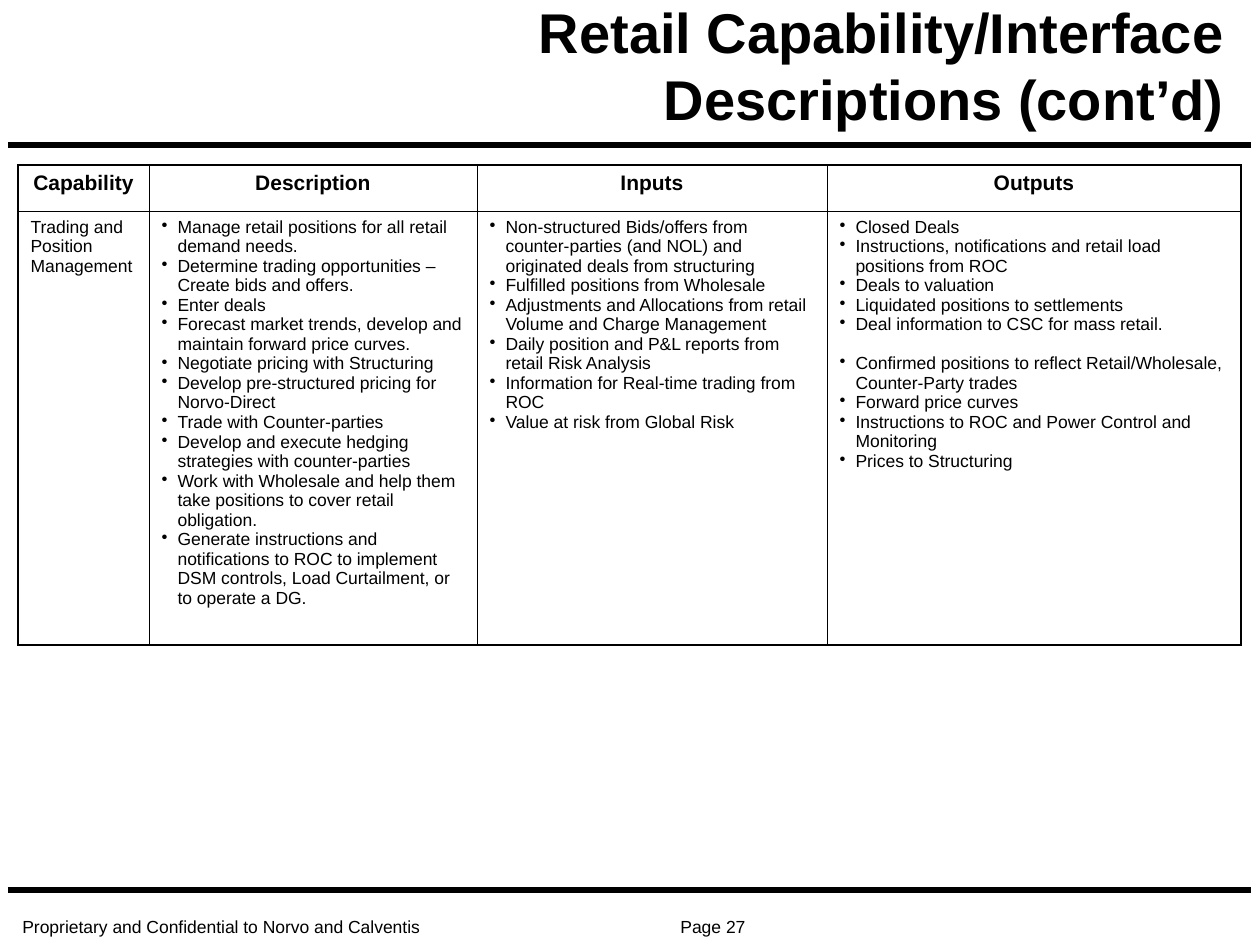
from lxml import etree
from pptx import Presentation
from pptx import util as u
from pptx.dml.color import RGBColor
from pptx.enum import shapes, text
from pptx.oxml import ns

PX = 914400 / 126
BLACK, WHITE = "000000", "FFFFFF"
OUTER, INNER = 1.08, 0.45
HEADERS = ["Capability", "Description", "Inputs", "Outputs"]
COL_WIDTHS = [131, 328, 350, 414]
ROW_HEIGHTS = [46, 434]
CAPABILITY = "Trading and Position Management"
DESCRIPTION = [
    "Manage retail positions for all retail demand needs.",
    "Determine trading opportunities – Create bids and offers.",
    "Enter deals",
    "Forecast market trends, develop and maintain forward price curves.",
    "Negotiate pricing with Structuring",
    "Develop pre-structured pricing for Norvo-Direct",
    "Trade with Counter-parties",
    "Develop and execute hedging strategies with counter-parties",
    "Work with Wholesale and help them take positions to cover retail obligation.",
    "Generate instructions and notifications to ROC to implement DSM controls, "
    "Load Curtailment, or to operate a DG.",
]
INPUTS = [
    "Non-structured Bids/offers from counter-parties (and NOL) and originated "
    "deals from structuring",
    "Fulfilled positions from Wholesale",
    "Adjustments and Allocations from retail Volume and Charge Management",
    "Daily position and P&L reports from retail Risk Analysis",
    "Information for Real-time trading from ROC",
    "Value at risk from Global Risk",
]
OUTPUTS = [
    "Closed Deals",
    "Instructions, notifications and retail load positions from ROC",
    "Deals to valuation",
    "Liquidated positions to settlements",
    "Deal information to CSC for mass retail.",
    "Confirmed positions to reflect Retail/Wholesale, Counter-Party trades",
    "Forward price curves",
    "Instructions to ROC and Power Control and Monitoring",
    "Prices to Structuring",
]
SECOND_GROUP = OUTPUTS[5]


def px(n):
    return u.Emu(round(n * PX))


def rgb(value):
    return RGBColor.from_string(value)


def sub(parent, tag, **attrs):
    return etree.SubElement(parent, ns.qn(tag), attrs)


def add_bullet(p, indent=16):
    pPr = p._p.get_or_add_pPr()
    pPr.set("marL", str(px(indent)))
    pPr.set("indent", str(-px(indent)))
    sub(sub(pPr, "a:buClr"), "a:srgbClr", val=BLACK)
    sub(pPr, "a:buChar", char="•")


def add_right_tab(p, position):
    tabs = sub(p._p.get_or_add_pPr(), "a:tabLst")
    sub(tabs, "a:tab", pos=str(px(position)), algn="r")


def write(tf, lines, size=10, bold=False, align=text.PP_ALIGN.LEFT,
          bullets=False, tab=None, spacing=None, gap_before=None):
    """Fill a text frame; gap_before names the line that opens a new group."""
    for i, line in enumerate(lines):
        p = tf.add_paragraph() if i else tf.paragraphs[0]
        p.alignment = align
        if bullets:
            add_bullet(p)
        if tab:
            add_right_tab(p, tab)
        if spacing:
            p.line_spacing = spacing
        if line == gap_before:
            p.space_before = u.Pt(11)
        r = p.add_run()
        r.text = line
        r.font.name = "Arial"
        r.font.size = u.Pt(size)
        r.font.bold = bold
        r.font.color.rgb = rgb(BLACK)


def set_frame(tf):
    tf.word_wrap = True
    tf.auto_size = text.MSO_AUTO_SIZE.NONE
    tf.vertical_anchor = text.MSO_ANCHOR.BOTTOM


def add_title(s, title):
    sp = s.shapes.title
    sp.left, sp.top, sp.width, sp.height = map(px, (354, 49, 883, 89))
    set_frame(sp.text_frame)
    write(sp.text_frame, [title], size=32, bold=True, align=text.PP_ALIGN.RIGHT)


def add_rule(s, y):
    line = s.shapes.add_connector(shapes.MSO_CONNECTOR.STRAIGHT,
                                  px(8), px(y), px(1251), px(y))
    line.line.color.rgb = rgb(BLACK)
    line.line.width = u.Pt(3)
    sub(line._element.spPr, "a:effectLst")


def add_footer(s, footer):
    box = s.shapes.add_textbox(px(10), px(914), px(766), px(29))
    set_frame(box.text_frame)
    write(box.text_frame, [footer], tab=723, spacing=0.8)


def format_cell(cell, outer_sides):
    """White cell with heavier borders on the sides at the table's edge."""
    cell.fill.solid()
    cell.fill.fore_color.rgb = rgb(WHITE)
    tcPr = cell._tc.get_or_add_tcPr()
    for i, side in enumerate("LRTB"):
        width = OUTER if side in outer_sides else INNER
        ln = sub(tcPr, f"a:ln{side}", w=str(u.Pt(width)))
        sub(sub(ln, "a:solidFill"), "a:srgbClr", val=BLACK)
        tcPr.insert(i, ln)


def add_capability_table(s):
    table = s.shapes.add_table(len(ROW_HEIGHTS), len(COL_WIDTHS), px(18), px(165),
                               px(sum(COL_WIDTHS)), px(sum(ROW_HEIGHTS))).table
    table.first_row = table.horz_banding = False
    for row, height in zip(table.rows, ROW_HEIGHTS):
        row.height = px(height)
    columns = zip(COL_WIDTHS, HEADERS, [[CAPABILITY], DESCRIPTION, INPUTS, OUTPUTS])
    for c, (width, header, lines) in enumerate(columns):
        table.columns[c].width = px(width)
        edge = {0: "L", len(COL_WIDTHS) - 1: "R"}.get(c, "")
        head, body = table.cell(0, c), table.cell(1, c)
        format_cell(head, edge + "T")
        format_cell(body, edge + "B")
        write(head.text_frame, [header], size=12, bold=True,
              align=text.PP_ALIGN.CENTER)
        write(body.text_frame, lines, bullets=c > 0, gap_before=SECOND_GROUP)


def main():
    prs = Presentation()
    prs.slide_width, prs.slide_height = px(1260), px(945)
    s = prs.slides.add_slide(prs.slide_layouts[5])
    add_footer(s, "Proprietary and Confidential to Norvo and Calventis\tPage 27")
    for y in (145, 890):
        add_rule(s, y)
    add_title(s, "Retail Capability/Interface Descriptions (cont’d)")
    add_capability_table(s)
    prs.save("out.pptx")


if __name__ == "__main__":
    main()
